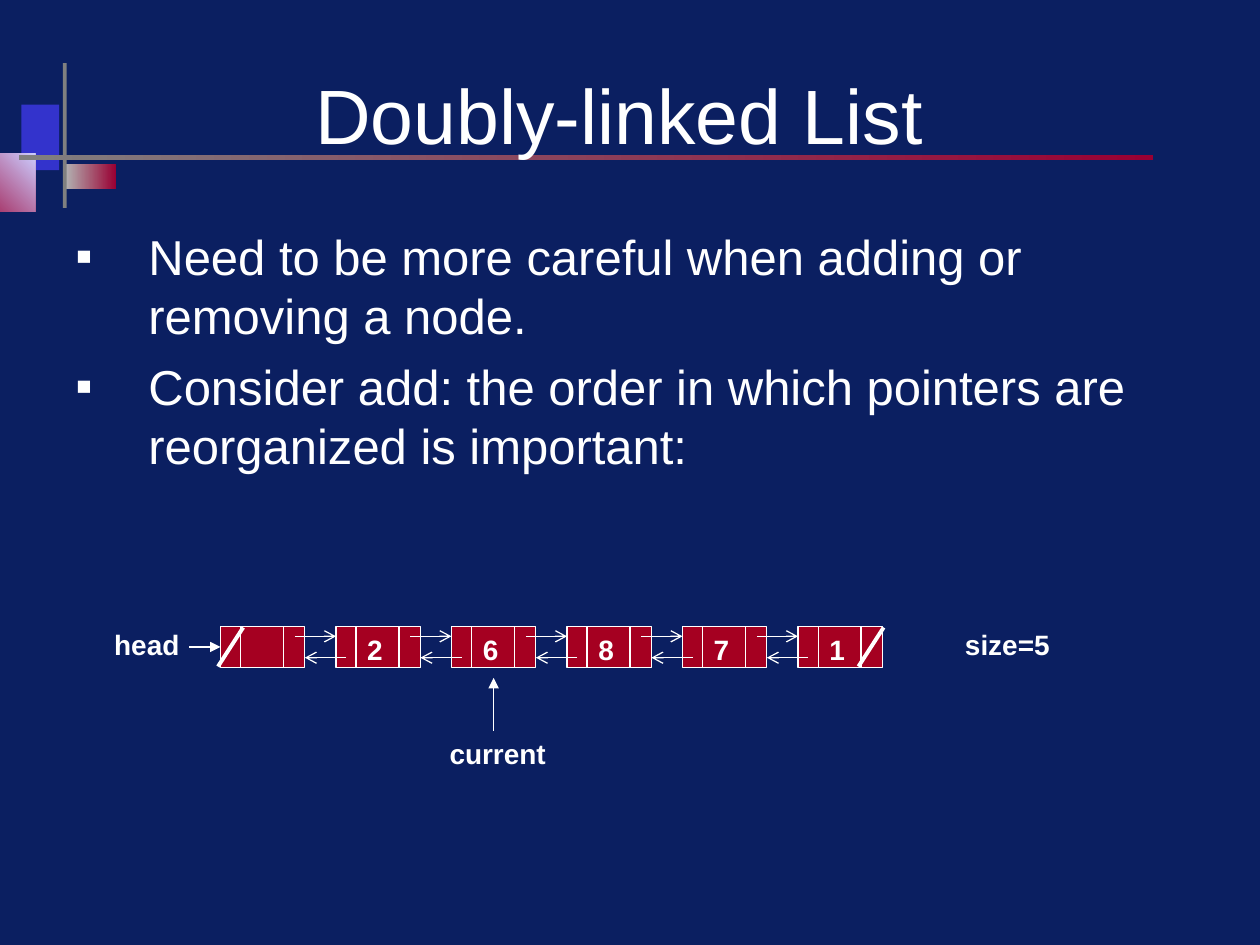
import pptx
import pptx.util
import pptx.dml.color
import pptx.enum.shapes
import pptx.enum.text
import pptx.oxml
import pptx.oxml.ns
from lxml import etree

Inches = pptx.util.Inches
Pt = pptx.util.Pt
Align = pptx.enum.text.PP_ALIGN

TITLE = "Doubly-linked List "
BULLETS = [
    "Need to be more careful when adding or removing a node.",
    "Consider add: the order in which pointers are reorganized is important:",
]
NODE_VALUES = ["", "2", "6", "8", "7", "1"]
LABELS = [
    ("head", 0.81, 4.93, 0.71),
    ("current", 3.47, 5.8, 0.96),
    ("size=5", 7.56, 4.93, 0.87),
]
THEME = {
    "font": "Arial", "background": "0B1F61", "text": "FFFFFF", "node": "A50021",
    "title_size": 44, "body_size": 28, "label_size": 16,
    "thin": 0.75, "thick": 2.25,
}
DECORATIONS = [
    ((0.17, 0.83, 0.3, 0.52), ["3333CC"], 0),
    ((0.52, 1.3, 0.4, 0.2), ["B2B2B2", "990033"], 0),
    ((-0.33, 1.22, 0.61, 0.46), ["990033", "CCCCFF"], 45),
    ((0.5, 0.5, 0.03, 1.15), ["808080"], 0),
    ((0.15, 1.23, 9, 0.04), ["808080", "990033"], 0),
]

NODE_LEFT, NODE_TOP, NODE_WIDTH, NODE_HEIGHT = 1.75, 4.97, 0.67, 0.33
NODE_PITCH = 5.5 / 6
NODE_BOTTOM = NODE_TOP + NODE_HEIGHT
NODE_MIDDLE = NODE_TOP + NODE_HEIGHT / 2
DIVIDERS = (0.16, 0.5)
POINTER_INSET = 0.08
NEXT_Y, PREVIOUS_Y = 5.05, 5.22
CURRENT_INDEX = 2


def color(value):
    return pptx.dml.color.RGBColor.from_string(value)


def add_rectangle(slide, box, fills, angle=0, outline=None):
    shape = slide.shapes.add_shape(
        pptx.enum.shapes.MSO_SHAPE.RECTANGLE, *map(Inches, box))
    shape.shadow.inherit = False
    if len(fills) == 1:
        shape.fill.solid()
        shape.fill.fore_color.rgb = color(fills[0])
    else:
        shape.fill.gradient()
        shape.fill.gradient_angle = angle
        for stop, value in zip(shape.fill.gradient_stops, fills):
            stop.color.rgb = color(value)
    if outline:
        shape.line.color.rgb = color(outline)
        shape.line.width = Pt(THEME["thin"])
    else:
        shape.line.fill.background()
    return shape


def add_line(slide, start, end, arrow=None, width=THEME["thin"]):
    connector = slide.shapes.add_connector(
        pptx.enum.shapes.MSO_CONNECTOR.STRAIGHT, *map(Inches, start + end))
    connector.line.color.rgb = color(THEME["text"])
    connector.line.width = Pt(width)
    if arrow:
        tail = etree.SubElement(connector.line._get_or_add_ln(), pptx.oxml.ns.qn("a:tailEnd"))
        tail.set("type", arrow)
    etree.SubElement(connector._element.spPr, pptx.oxml.ns.qn("a:effectLst"))
    return connector


def set_bullet(paragraph, indent):
    properties = paragraph._p.get_or_add_pPr()
    properties.set("marL", str(Inches(indent)))
    properties.set("indent", str(-Inches(indent)))
    font = etree.SubElement(properties, pptx.oxml.ns.qn("a:buFont"))
    font.set("typeface", THEME["font"])
    bullet = etree.SubElement(properties, pptx.oxml.ns.qn("a:buChar"))
    bullet.set("char", "▪")


def add_text(slide, box, lines, size, align=Align.LEFT, bold=False, bullet_indent=None):
    shape = slide.shapes.add_textbox(*map(Inches, box))
    text_frame = shape.text_frame
    text_frame.word_wrap = True
    text_frame.text = "\n".join(lines)
    for index, paragraph in enumerate(text_frame.paragraphs):
        paragraph.alignment = align
        if bullet_indent:
            if index:
                paragraph.space_before = Pt(7)
            set_bullet(paragraph, bullet_indent)
        for run in paragraph.runs:
            run.font.name = THEME["font"]
            run.font.size = Pt(size)
            run.font.bold = bold
            run.font.color.rgb = color(THEME["text"])
    return shape


def add_label(slide, text, left, top, width):
    label = add_text(slide, (left, top, width, 0.37), [text], THEME["label_size"],
                     Align.CENTER, bold=True)
    label.text_frame.margin_left = label.text_frame.margin_right = 0
    label.text_frame.word_wrap = False


def add_list_diagram(slide):
    lefts = [NODE_LEFT + NODE_PITCH * index for index in range(len(NODE_VALUES))]
    nodes = []
    for left, value in zip(lefts, NODE_VALUES):
        nodes.append(add_rectangle(
            slide, (left, NODE_TOP, NODE_WIDTH, NODE_HEIGHT), [THEME["node"]], outline=THEME["text"]))
        for offset in DIVIDERS:
            add_line(slide, (left + offset, NODE_TOP), (left + offset, NODE_BOTTOM))
        if value:
            add_text(slide, (left + 0.15, NODE_TOP, 0.27, 0.37), [value],
                     THEME["label_size"], bold=True)

    for left, following in zip(lefts, lefts[1:]):
        right = left + NODE_WIDTH
        add_line(slide, (right - POINTER_INSET, NEXT_Y), (following, NEXT_Y), "arrow")
        add_line(slide, (following + POINTER_INSET, PREVIOUS_Y), (right, PREVIOUS_Y), "arrow")

    for slash_left in (lefts[0] - 0.02, lefts[-1] + 0.48):
        add_line(slide, (slash_left + 0.2, NODE_TOP + 0.01), (slash_left, NODE_BOTTOM - 0.01),
                 width=THEME["thick"])

    head_arrow = add_line(slide, (1.5, NODE_MIDDLE), (NODE_LEFT, NODE_MIDDLE), "triangle")
    head_arrow.end_connect(nodes[0], 1)
    current_x = lefts[CURRENT_INDEX] + NODE_WIDTH / 2
    add_line(slide, (current_x, 5.8), (current_x, 5.38), "triangle")

    for label in LABELS:
        add_label(slide, *label)


def main():
    presentation = pptx.Presentation()
    presentation.slide_width, presentation.slide_height = Inches(10), Inches(7.5)
    slide = presentation.slides.add_slide(presentation.slide_layouts[6])
    slide.background.fill.solid()
    slide.background.fill.fore_color.rgb = color(THEME["background"])
    for box, fills, angle in DECORATIONS:
        add_rectangle(slide, box, fills, angle)
    title = add_text(slide, (0.5, 0.4, 9, 1), [TITLE], THEME["title_size"], Align.CENTER)
    title.text_frame.vertical_anchor = pptx.enum.text.MSO_ANCHOR.MIDDLE
    add_text(slide, (0.5, 1.75, 9, 2.67), BULLETS, THEME["body_size"], bullet_indent=0.58)
    add_list_diagram(slide)
    presentation.save("out.pptx")


if __name__ == "__main__":
    main()
